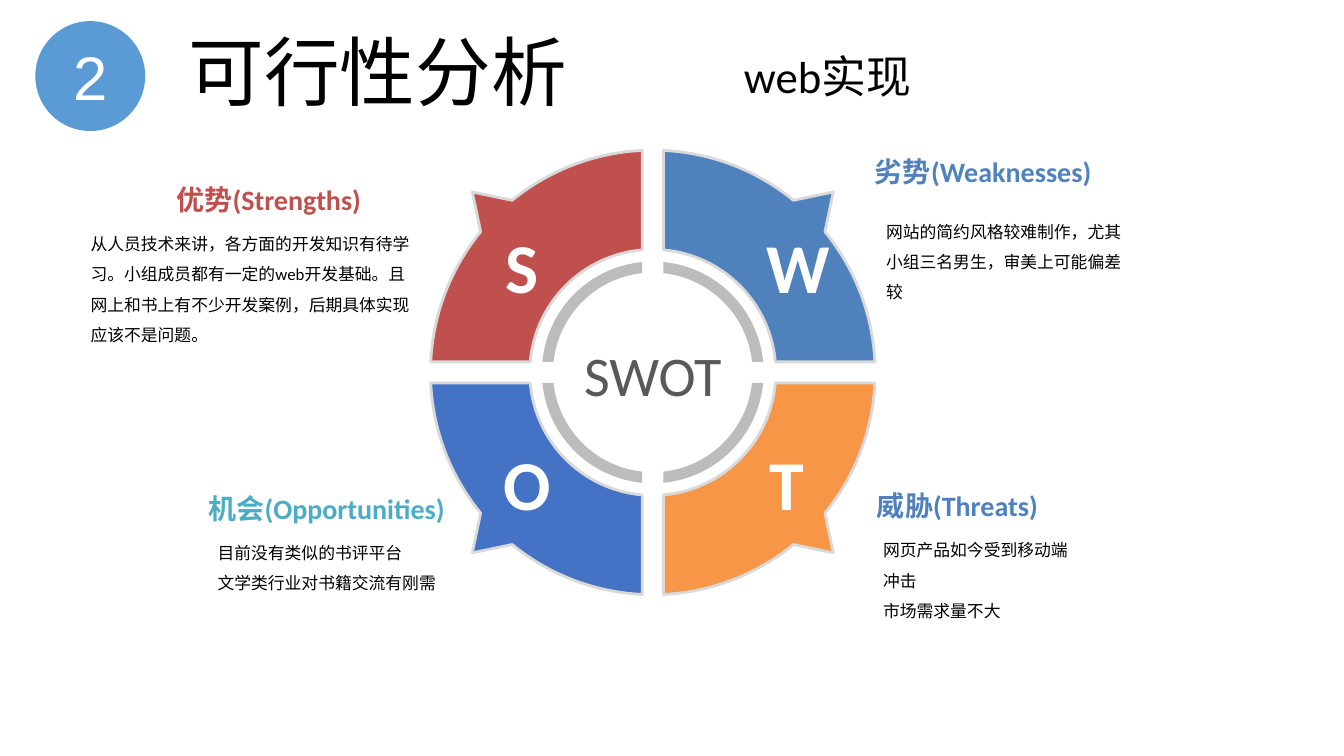
from math import asin, cos, pi, sin, tan
from lxml import etree
from pptx import Presentation
from pptx import util as u
from pptx.dml.color import RGBColor
from pptx.enum import shapes, text
from pptx.oxml.ns import qn

PX = 9144
HAN = "Noto Sans CJK SC"
LEFT, MID, RIGHT = text.PP_ALIGN.LEFT, text.PP_ALIGN.CENTER, text.PP_ALIGN.RIGHT
TOP, CORE, BASE = text.MSO_ANCHOR.TOP, text.MSO_ANCHOR.MIDDLE, text.MSO_ANCHOR.BOTTOM


def px(n):
    return round(n * PX)


def hue(code):
    return RGBColor.from_string(code)


def style(shape, words, size, color, font="Calibri", bold=False,
          align=LEFT, space=1.0, anchor=TOP):
    frame = shape.text_frame
    frame.word_wrap = True
    frame.auto_size = text.MSO_AUTO_SIZE.NONE
    frame.vertical_anchor = anchor
    frame.text = words
    for para in frame.paragraphs:
        para.alignment = align
        para.line_spacing = space
        for run in para.runs:
            run.font.size = u.Pt(size)
            run.font.bold = bold
            run.font.name = font
            run.font.color.rgb = hue(color)
            east = etree.SubElement(run.font._element, qn("a:ea"))
            east.set("typeface", HAN)


def label(slide, box, words, size, color, **look):
    shape = slide.shapes.add_textbox(*map(px, box))
    style(shape, words, size, color, **look)
    return shape


def paint(shape, fill, line=None):
    shape.shadow.inherit = False
    shape.fill.solid()
    shape.fill.fore_color.rgb = hue(fill)
    if line:
        shape.line.color.rgb = hue(line)
        shape.line.width = u.Pt(2)
    else:
        shape.line.fill.background()


def spot(rad, turn):
    return rad * cos(turn), rad * sin(turn)


def arc(rad, start, end, count=1):
    step = (end - start) / count
    pull = 4 / 3 * tan(step / 4)
    curves = []
    for i in range(count):
        a, b = start + i * step, start + (i + 1) * step
        (ax, ay), (bx, by) = spot(rad, a), spot(rad, b)
        curves.append([(ax - pull * ay, ay + pull * ax),
                       (bx + pull * by, by - pull * bx), (bx, by)])
    return curves


def band(inner, outer, gap, tip=None):
    low, high = asin(gap / outer), asin(gap / inner)
    if tip:
        notch = 0.685
        rim = arc(outer, low, notch) + [[(tip, tip)], [spot(outer, pi / 2 - notch)]]
        rim += arc(outer, pi / 2 - notch, pi / 2 - low)
    else:
        rim = arc(outer, low, pi / 2 - low, 2)
    turn = pi / 2 - high
    return [[spot(outer, low)]] + rim + [[spot(inner, turn)]] + arc(inner, turn, high, 2)


def flip(loop, sx, sy):
    return [[(x * sx, y * sy) for x, y in step] for step in loop]


def trace(slide, cx, cy, loops):
    pen = None
    for loop in loops:
        pts = [(px(cx + x), px(cy + y)) for step in loop for x, y in step]
        if pen is None:
            pen = slide.shapes.build_freeform(*pts[0], scale=1.0)
        else:
            pen.move_to(*pts[0])
        pen.add_line_segments(pts[1:], close=True)
    shape = pen.convert_to_shape()
    lines = iter(list(shape._element.iter(qn("a:lnTo"))))
    for step in (step for loop in loops for step in loop[1:]):
        group = [next(lines) for _ in step]
        if len(group) == 3:
            group[0].addprevious(curve := etree.Element(qn("a:cubicBezTo")))
            for line in group:
                curve.append(line[0])
                line.getparent().remove(line)
    return shape


def wheel(slide, x, y, size):
    cx, cy = x + size / 2, y + size / 2
    parts = [("S", "C0504D", -1, -1, 63, 68), ("O", "4472C4", -1, 1, 63, 283),
             ("W", "4F81BD", 1, -1, 323, 68), ("T", "F79646", 1, 1, 326, 283)]
    ring = band(99, 110, 10.5)
    paint(trace(slide, cx, cy, [flip(ring, p[2], p[3]) for p in parts]), "BBBCBB")
    petal = band(122, size / 2, 10.5, 179)
    for _, color, sx, sy, _, _ in parts:
        paint(trace(slide, cx, cy, [flip(petal, sx, sy)]), color, "D9D9D9")
    for mark, _, _, _, dx, dy in parts:
        label(slide, (x + dx, y + dy, 55, 94), mark, 50, "FFFFFF", bold=True, align=MID)
    label(slide, (x + 140, y + 184, 161, 145), "SWOT", 40, "595959", align=MID)


def note(slide, box, name, color, align, inset, width, body, font=HAN, drop=40):
    x, y, wide, high = box
    label(slide, (x, y, wide, 44), name, 20, color, bold=True, align=align)
    label(slide, (x + inset, y + drop, width, high - drop), body, 12, "000000",
          font=font, space=1.5)


def head(slide, x, y):
    disc = slide.shapes.add_shape(shapes.MSO_SHAPE.OVAL, *map(px, (x, y, 109, 109)))
    paint(disc, "5B9BD5")
    num = label(slide, (x - 5, y + 4, 119, 101), "2", 44, "FFFFFF",
                font="Arial", align=MID, anchor=CORE)
    frame = num.text_frame
    frame.margin_left = frame.margin_right = frame.margin_top = frame.margin_bottom = 0
    title = slide.shapes.title
    title.left, title.top, title.width, title.height = map(px, (x + 142, y + 9, 396, 91))
    style(title, "可行性分析", 54, "000000", space=0.9, anchor=BASE)
    label(slide, (x + 693, y + 22, 186, 64), "web实现", 32, "000000")


def main():
    deck = Presentation()
    deck.slide_width, deck.slide_height = px(1333), px(750)
    slide = deck.slides.add_slide(deck.slide_layouts[5])
    wheel(slide, 427, 149, 441)
    note(slide, (144, 176, 224, 172), "优势(Strengths)", "C0504D", RIGHT, -64, 342,
         "从人员技术来讲，各方面的开发知识有待学习。小组成员都有一定的web开发基础。"
         "且网上和书上有不少开发案例，后期具体实现应该不是问题。", font="Calibri", drop=41)
    note(slide, (858, 148, 274, 158), "劣势(Weaknesses)", "4F81BD", LEFT, 11, 265,
         "网站的简约风格较难制作，尤其小组三名男生，审美上可能偏差较", drop=57)
    note(slide, (160, 483, 291, 111), "机会(Opportunities)", "4BACC6", RIGHT, 46, 244,
         "目前没有类似的书评平台\n文学类行业对书籍交流有刚需")
    note(slide, (860, 480, 274, 142), "威胁(Threats)", "4F81BD", LEFT, 6, 208,
         "网页产品如今受到移动端冲击\n市场需求量不大", drop=41)
    head(slide, 35, 21)
    deck.save("out.pptx")


if __name__ == "__main__":
    main()
